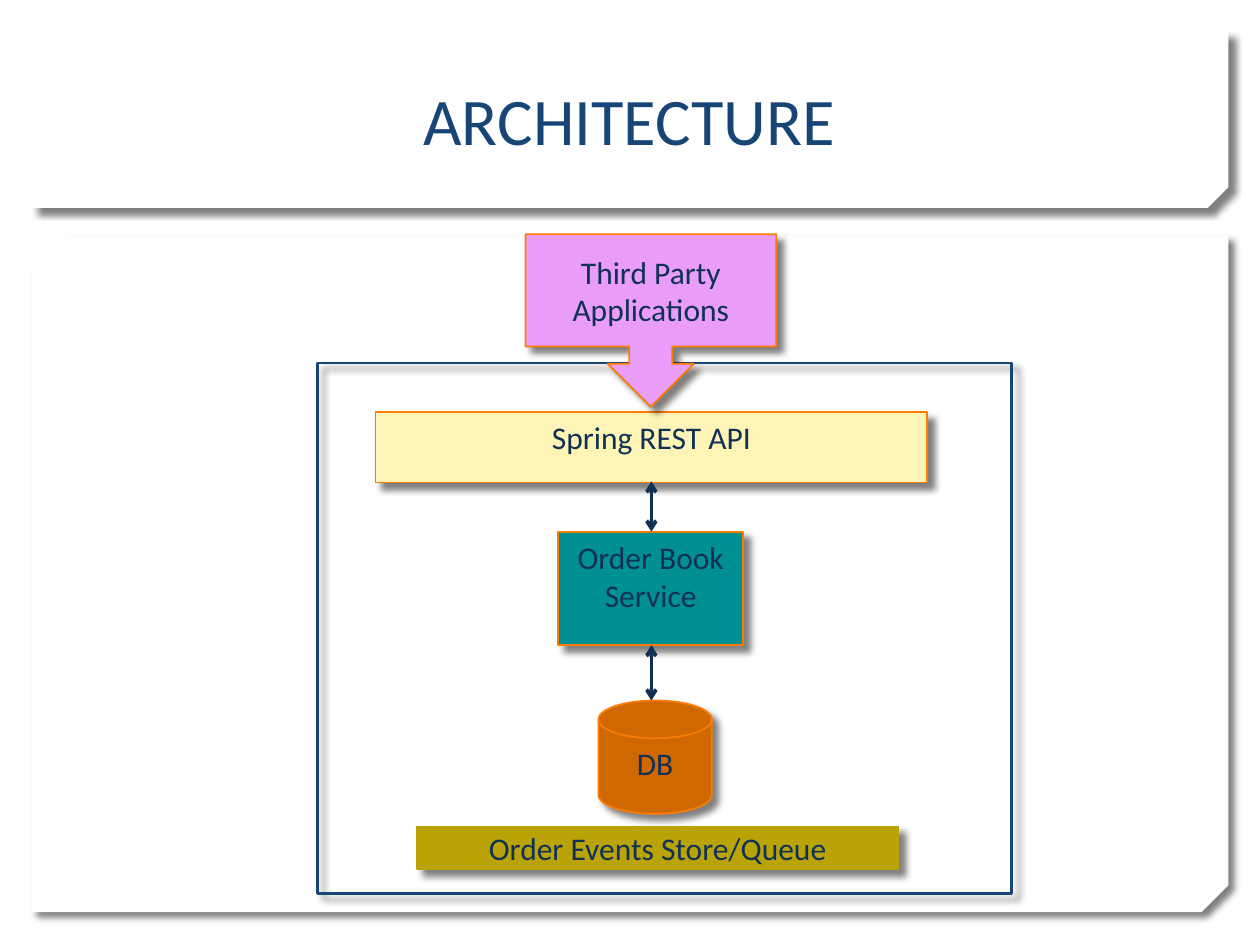
from dataclasses import dataclass

from lxml import etree
from pptx import Presentation
from pptx import util as u
from pptx.dml.color import RGBColor
from pptx.enum import shapes, text
from pptx.oxml import ns

GRID = u.Inches(0.1)  # 100 columns by 75 rows
COLUMNS, ROWS = 100, 75
AXIS = 51.7
KIND = shapes.MSO_SHAPE
TOP, MIDDLE = text.MSO_ANCHOR.TOP, text.MSO_ANCHOR.MIDDLE


@dataclass(frozen=True)
class Theme:
    """Colours and type sizes of the slide."""
    font: str = "Calibri"
    title_size: int = 38
    label_size: int = 18
    paper: str = "FFFFFF"
    title: str = "174576"
    ink: str = "103154"
    edge: str = "FA7C00"
    clients: str = "E99CF8"
    api: str = "FDF4B6"
    service: str = "008F92"
    database: str = "D06801"
    queue: str = "BAA306"


THEME = Theme()


def cells(*counts):
    """Turn counts of grid cells into lengths."""
    return [u.Emu(round(count * GRID)) for count in counts]


def rgb(code):
    """Turn a hex code into a colour."""
    return RGBColor.from_string(code)


def add_effects(element, shadow=True):
    """Give an element its own effect list, with or without a soft shadow."""
    effects = etree.SubElement(element.spPr, ns.qn("a:effectLst"))
    if shadow:
        cast = etree.SubElement(
            effects, ns.qn("a:outerShdw"), blurRad=str(u.Pt(4)),
            dist=str(u.Pt(5)), dir=str(45 * 60000), algn="tl", rotWithShape="0")
        black = etree.SubElement(cast, ns.qn("a:srgbClr"), val="000000")
        etree.SubElement(black, ns.qn("a:alpha"), val="50000")


def write(frame, words, size, colour, anchor):
    """Write one centred run into a text frame."""
    frame.word_wrap = True
    frame.vertical_anchor = anchor
    paragraph = frame.paragraphs[0]
    paragraph.alignment = text.PP_ALIGN.CENTER
    run = paragraph.add_run()
    run.text = words
    run.font.name = THEME.font
    run.font.size = u.Pt(size)
    run.font.color.rgb = rgb(colour)


def add_block(slide, kind, box, fill=None, edge=None, width=1):
    """Add a shadowed shape on the grid."""
    block = slide.shapes.add_shape(kind, *cells(*box))
    if fill:
        block.fill.solid()
        block.fill.fore_color.rgb = rgb(fill)
    else:
        block.fill.background()
    if edge:
        block.line.color.rgb = rgb(edge)
        block.line.width = u.Pt(width)
    else:
        block.line.fill.background()
    add_effects(block._element)
    return block


def add_panel(slide, box, snip):
    """Add a white panel with two snipped corners."""
    panel = add_block(slide, KIND.SNIP_2_DIAG_RECTANGLE, box, THEME.paper)
    panel.adjustments[0] = snip
    panel.adjustments[1] = 0


def add_title(slide, words, box):
    """Fill the title placeholder and bring it in front of the panels."""
    title = slide.shapes.title
    title.left, title.top, title.width, title.height = cells(*box)
    write(title.text_frame, words, THEME.title_size, THEME.title, MIDDLE)
    slide.shapes._spTree.append(title._element)


def add_component(slide, kind, box, words, fill, edge=THEME.edge, anchor=TOP):
    """Add a labelled part of the architecture."""
    component = add_block(slide, kind, box, fill, edge)
    write(component.text_frame, words, THEME.label_size, THEME.ink, anchor)


def add_link(slide, top, bottom):
    """Add a two-way arrow down the axis."""
    link = slide.shapes.add_connector(
        shapes.MSO_CONNECTOR.STRAIGHT, *cells(AXIS, top, AXIS, bottom))
    link.line.color.rgb = rgb(THEME.ink)
    link.line.width = u.Pt(2)
    for end in ("a:headEnd", "a:tailEnd"):
        etree.SubElement(link.line._get_or_add_ln(), ns.qn(end), type="arrow")
    add_effects(link._element, shadow=False)


def main():
    """Build the architecture slide."""
    deck = Presentation()
    deck.slide_width, deck.slide_height = cells(COLUMNS, ROWS)
    slide = deck.slides.add_slide(deck.slide_layouts[5])

    add_panel(slide, (2.5, 18.7, 95, 53.7), 0.04)
    add_panel(slide, (2.5, 2.5, 95, 14), 0.117)
    add_block(slide, KIND.RECTANGLE, (25.2, 28.8, 55.1, 42.1),
              edge=THEME.title, width=1.5)
    add_title(slide, "ARCHITECTURE", (8.5, 3.2, 82.9, 12.5))

    add_component(slide, KIND.FLOWCHART_MAGNETIC_DISK, (47.5, 55.6, 9, 9),
                  "DB", THEME.database)
    add_component(slide, KIND.FLOWCHART_PROCESS, (44.3, 42.2, 14.7, 9),
                  "Order Book Service", THEME.service)
    add_component(slide, KIND.FLOWCHART_PROCESS, (29.8, 32.7, 43.8, 5.6),
                  "Spring REST API", THEME.api)
    add_component(slide, KIND.DOWN_ARROW_CALLOUT, (41.7, 18.6, 19.9, 13.7),
                  "Third Party Applications", THEME.clients, anchor=MIDDLE)
    for top, bottom in ((51.2, 55.6), (38.2, 42.2)):
        add_link(slide, top, bottom)
    add_component(slide, KIND.RECTANGLE, (33.1, 65.6, 38.2, 3.4),
                  "Order Events Store/Queue", THEME.queue, THEME.queue, MIDDLE)

    deck.save("out.pptx")


main()
